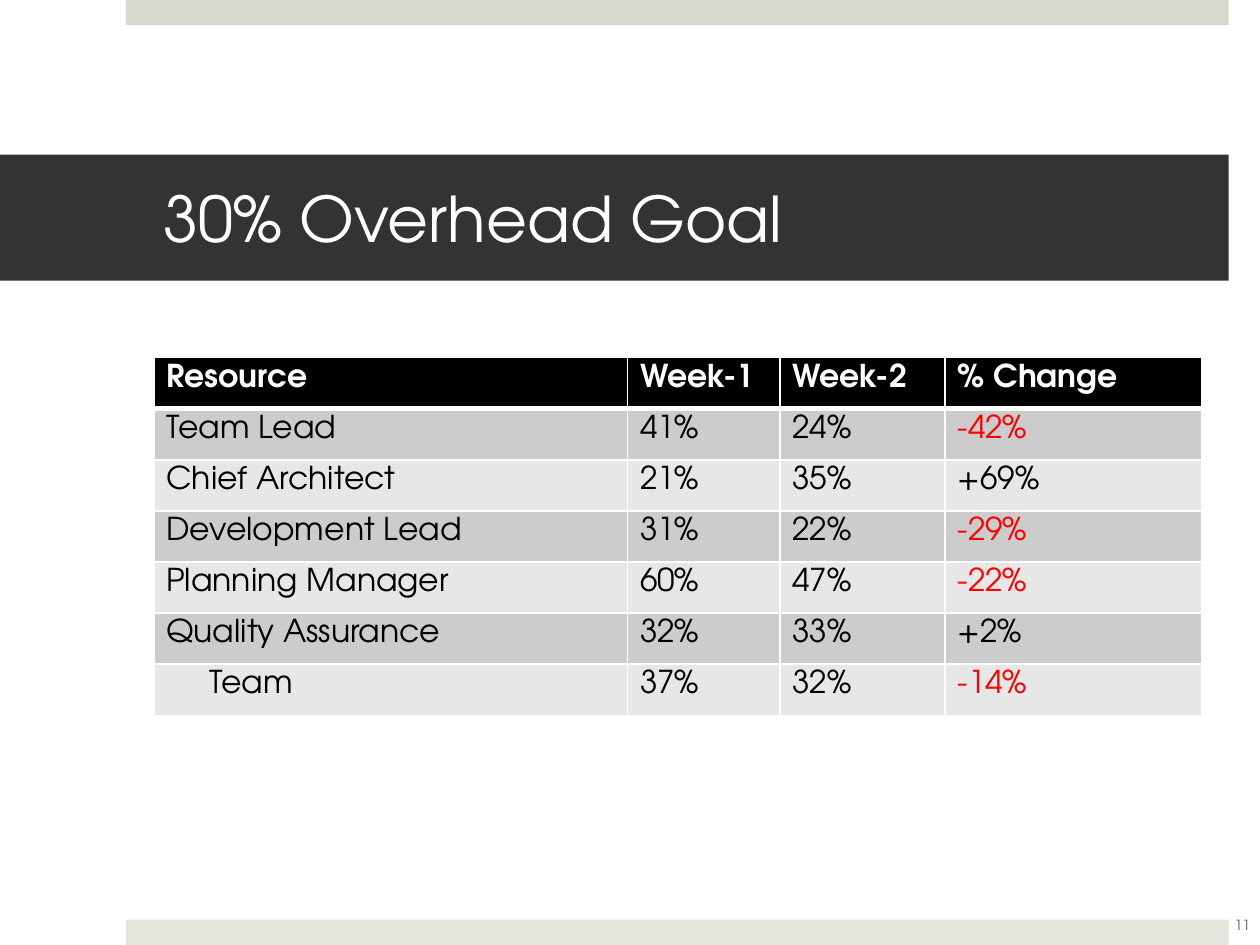
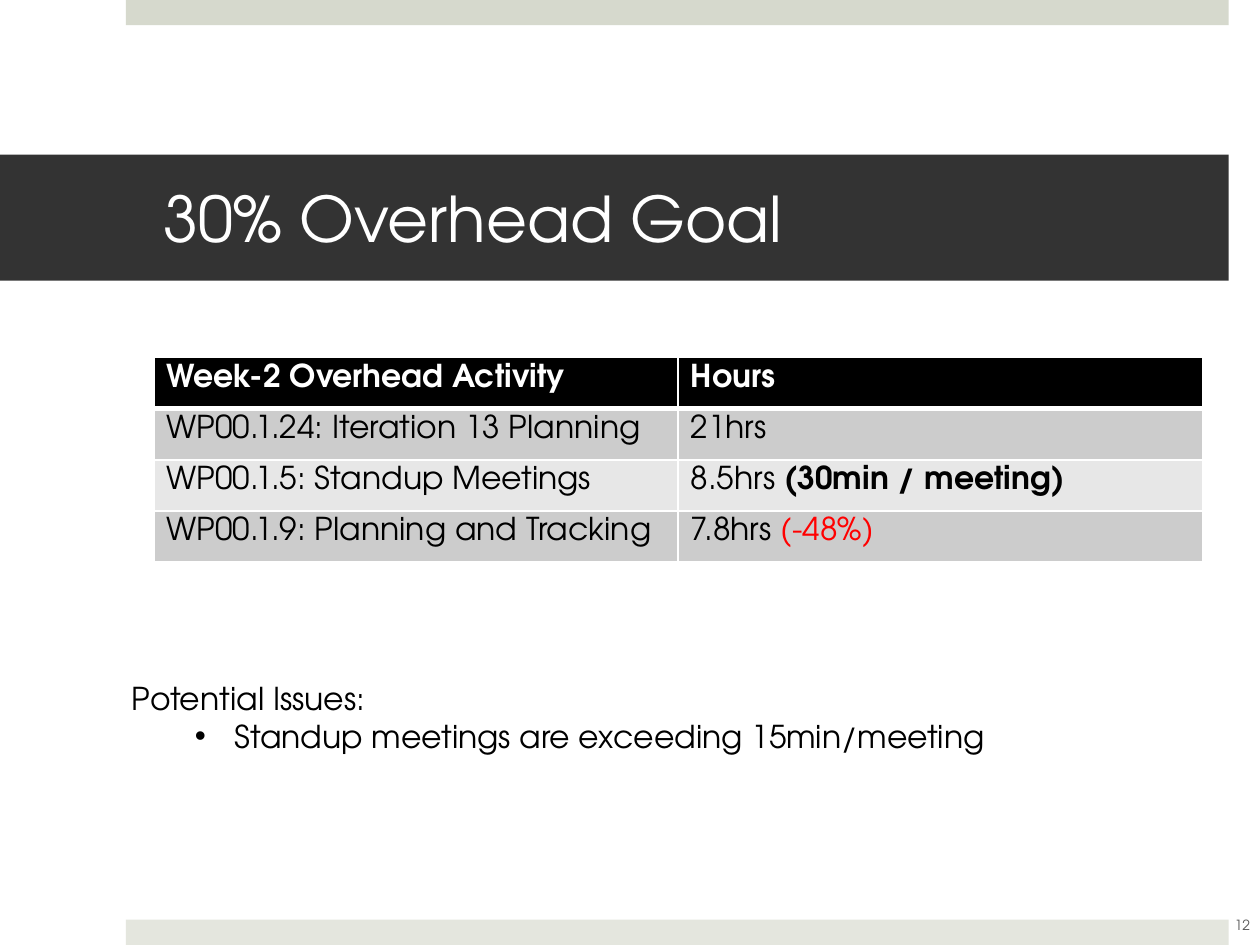
from lxml.etree import SubElement
from pptx import Presentation
from pptx.dml.color import RGBColor
from pptx.enum.shapes import MSO_SHAPE
from pptx.enum.text import MSO_ANCHOR, PP_ALIGN
from pptx.oxml.ns import qn
from pptx.util import Cm, Pt

FONT = "TeX Gyre Adventor"
COLORS = {
    "top_band": "D6D9CD", "bottom_band": "E4E6DE", "title_band": "333333",
    "white": "FFFFFF", "text": "000000", "drop": "FF0000", "number": "595959",
    "header": "000000", "odd_row": "CCCCCC", "even_row": "E7E7E7",
}
SLIDE_W, SLIDE_H = 25.4, 19.05
BAND_RIGHT = 24.77
TABLE_X, TABLE_Y, ROW_H = 3.1, 7.21, 1.03


def rgb(name):
    return RGBColor.from_string(COLORS[name])


def add_run(p, text, size=18, color="text", bold=False):
    r = p.add_run()
    r.text = text
    r.font.name, r.font.size, r.font.bold = FONT, Pt(size), bold
    r.font.color.rgb = rgb(color)


def set_indent(p, left, first=0, bullet=None):
    pPr = p._p.get_or_add_pPr()
    pPr.set("marL", str(Cm(left)))
    pPr.set("indent", str(Cm(first)))
    if bullet:
        SubElement(pPr, qn("a:buFont"), typeface="Arial")
        SubElement(pPr, qn("a:buChar"), char=bullet)


def add_band(s, x, y, w, h, color):
    sp = s.shapes.add_shape(MSO_SHAPE.RECTANGLE, Cm(x), Cm(y), Cm(w), Cm(h))
    sp.shadow.inherit = False
    sp.fill.solid()
    sp.fill.fore_color.rgb = rgb(color)
    sp.line.fill.background()
    return sp


def add_text_box(s, x, y, w, h):
    tf = s.shapes.add_textbox(Cm(x), Cm(y), Cm(w), Cm(h)).text_frame
    tf.word_wrap = True
    return tf


def add_title(s, title, x, y, w, h):
    tf = add_band(s, x, y, w, h, "title_band").text_frame
    tf.word_wrap = True
    tf.vertical_anchor = MSO_ANCHOR.MIDDLE
    tf.margin_left, tf.margin_right = Cm(3.3), Cm(0.76)
    p = tf.paragraphs[0]
    p.alignment = PP_ALIGN.LEFT
    add_run(p, title, size=36, color="white")


def add_number(s, number, x, y, w, h):
    tf = add_text_box(s, x, y, w, h)
    tf.margin_left = tf.margin_right = 0
    tf.vertical_anchor = MSO_ANCHOR.MIDDLE
    p = tf.paragraphs[0]
    p.alignment = PP_ALIGN.CENTER
    add_run(p, str(number), size=8, color="number")


def add_slide(prs, title, number):
    s = prs.slides.add_slide(prs.slide_layouts[6])
    left, h = 2.54, 0.51
    add_band(s, left, 0, BAND_RIGHT - left, h, "top_band")
    add_band(s, left, SLIDE_H - h, BAND_RIGHT - left, h, "bottom_band")
    add_title(s, title, 0, 3.12, BAND_RIGHT, 2.54)
    add_number(s, number, 24.69, 18.24, 0.71, 1.02 - 0.21)
    return s


def style_cell(cell, fill, top, bottom):
    tcPr = cell._tc.get_or_add_tcPr()
    for side, width in (("L", 1), ("R", 1), ("T", top), ("B", bottom)):
        ln = SubElement(tcPr, qn(f"a:ln{side}"), w=str(Pt(width)))
        SubElement(SubElement(ln, qn("a:solidFill")), qn("a:srgbClr"), val=COLORS["white"])
    cell.fill.solid()
    cell.fill.fore_color.rgb = rgb(fill)


def add_grid(s, rows, widths, x, y):
    """A cell is a string, or a list of (text, format) runs."""
    frame = s.shapes.add_table(len(rows), len(widths), Cm(x), Cm(y),
                               Cm(sum(widths)), Cm(ROW_H * len(rows)))
    table = frame.table
    for column, width in zip(table.columns, widths):
        column.width = Cm(width)
    for i, row in enumerate(rows):
        table.rows[i].height = Cm(ROW_H)
        fill = "header" if i == 0 else "odd_row" if i % 2 else "even_row"
        base = {"color": "white", "bold": True} if i == 0 else {}
        for j, content in enumerate(row):
            cell = table.cell(i, j)
            # Heavier rule between the header and the body
            style_cell(cell, fill, 3 if i == 1 else 1, 3 if i == 0 else 1)
            runs = [(content, {})] if isinstance(content, str) else content
            for text, fmt in runs:
                add_run(cell.text_frame.paragraphs[0], text, **{**base, **fmt})
    return table


def build_resources(prs):
    s = add_slide(prs, "30% Overhead Goal", 11)
    overhead = [
        ("Team Lead", "41%", "24%", "-42%"),
        ("Chief Architect", "21%", "35%", "+69%"),
        ("Development Lead", "31%", "22%", "-29%"),
        ("Planning Manager", "60%", "47%", "-22%"),
        ("Quality Assurance", "32%", "33%", "+2%"),
        ("Team", "37%", "32%", "-14%"),
    ]
    rows = [("Resource", "Week-1", "Week-2", "% Change")]
    for *cells, change in overhead:
        color = "drop" if change.startswith("-") else "text"
        rows.append((*cells, [(change, {"color": color})]))
    table = add_grid(s, rows, [9.55, 3.07, 3.33, 5.18], TABLE_X, TABLE_Y)
    # The team total is indented under the resources
    set_indent(table.cell(len(overhead), 0).text_frame.paragraphs[0], 0.87)


def add_issues(s, heading, issues, x, y, w, h):
    tf = add_text_box(s, x, y, w, h)
    add_run(tf.paragraphs[0], heading)
    for issue in issues:
        p = tf.add_paragraph()
        p.level = 1
        set_indent(p, 2.06, -0.79, "•")
        add_run(p, issue)


def build_activities(prs):
    s = add_slide(prs, "30% Overhead Goal", 12)
    rows = [
        ("Week-2 Overhead Activity", "Hours"),
        ("WP00.1.24: Iteration 13 Planning", "21hrs"),
        ("WP00.1.5: Standup Meetings",
         [("8.5hrs ", {}), ("(30min / meeting)", {"bold": True})]),
        ("WP00.1.9: Planning and Tracking",
         [("7.8hrs ", {}), ("(-48%)", {"color": "drop"})]),
    ]
    add_grid(s, rows, [10.57, 10.57], TABLE_X, TABLE_Y)
    add_issues(s, "Potential Issues:", ["Standup meetings are exceeding 15min/meeting"],
               2.41, 13.56, 18, 1.8)


def main():
    prs = Presentation()
    prs.slide_width, prs.slide_height = Cm(SLIDE_W), Cm(SLIDE_H)
    build_resources(prs)
    build_activities(prs)
    prs.save("out.pptx")


if __name__ == "__main__":
    main()
